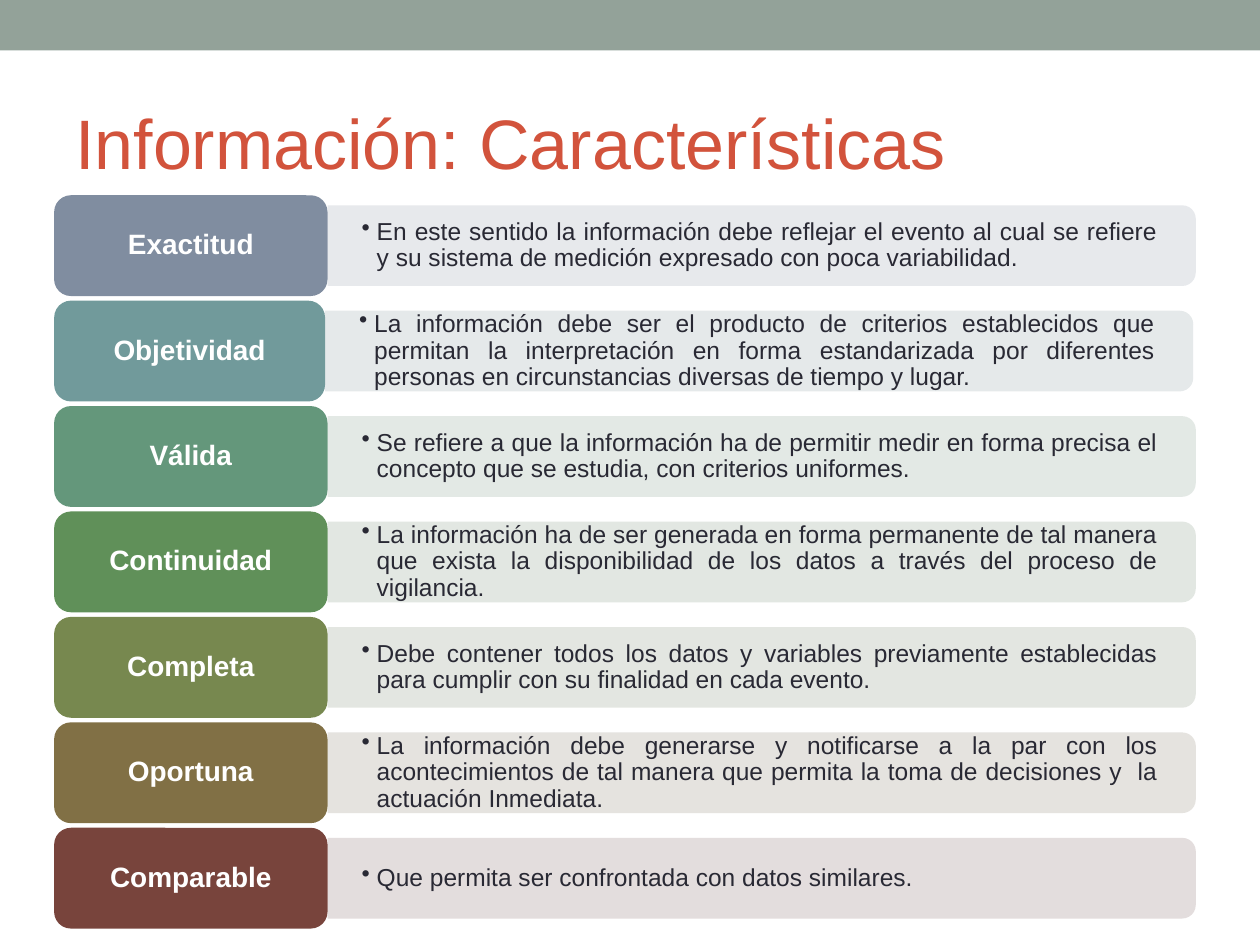
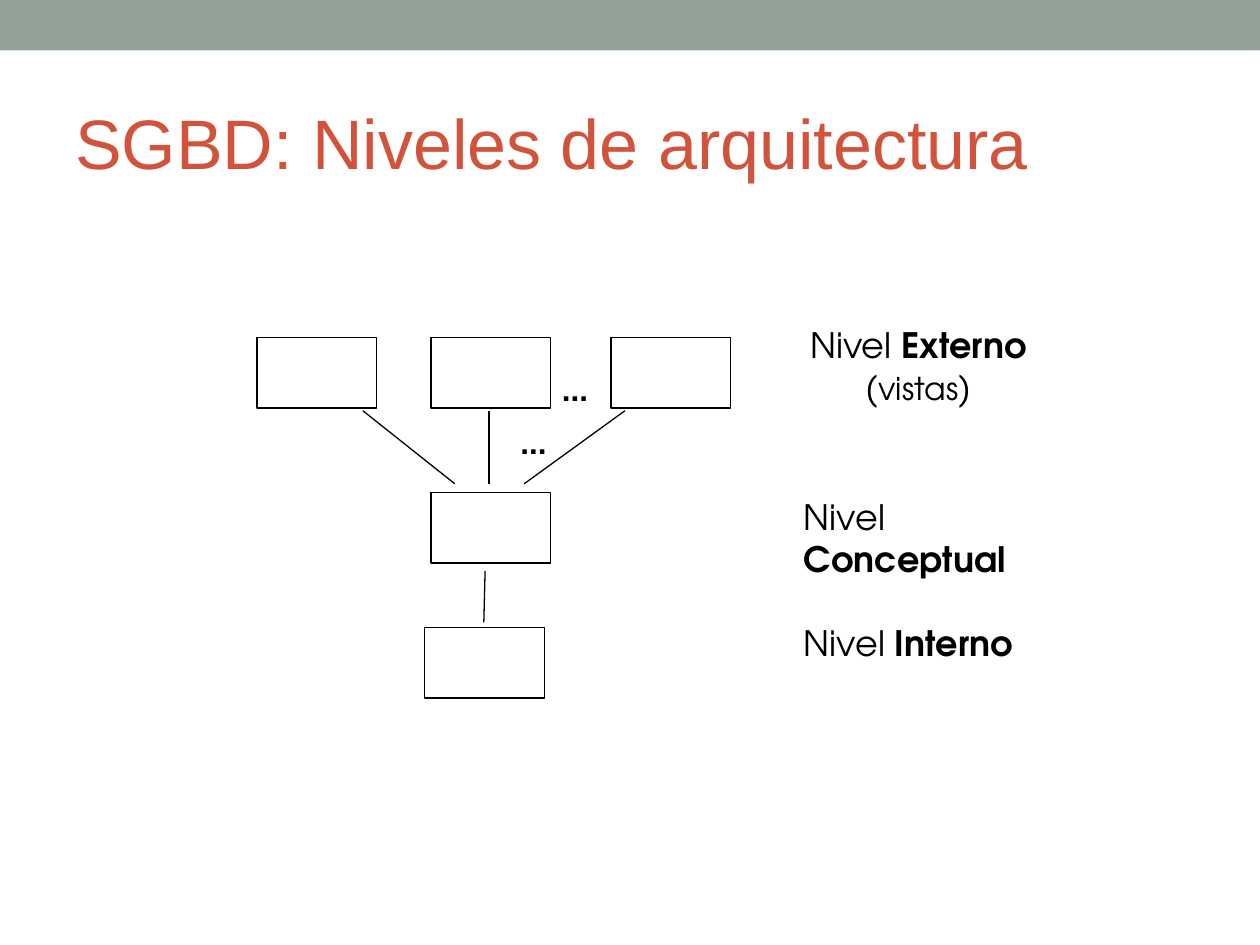
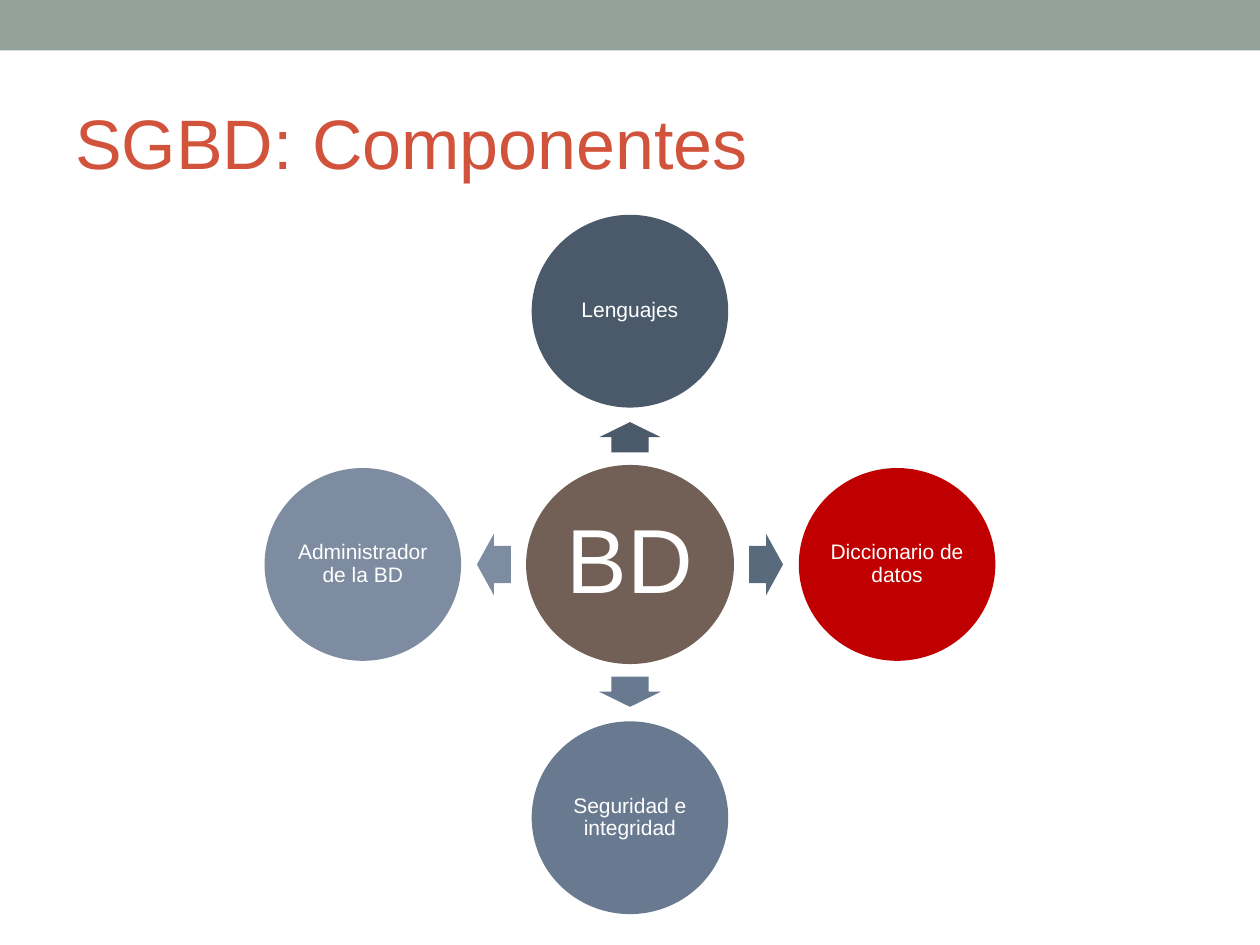
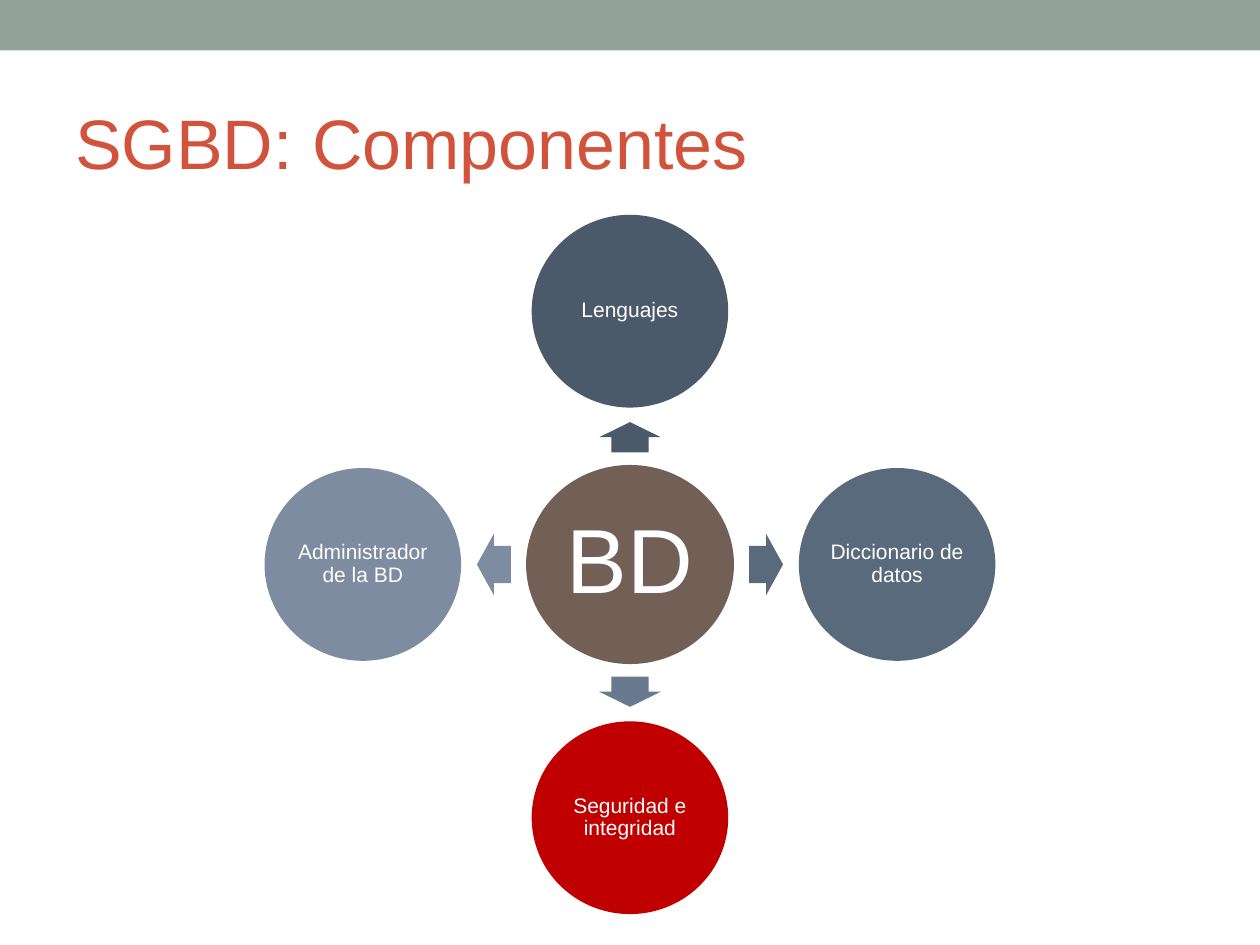
"""Four slides on information traits and database management systems."""
from lxml import etree
from pptx import Presentation
from pptx.dml.color import RGBColor
from pptx.enum import shapes, text as t
from pptx.oxml import ns
from pptx.util import Inches, Pt

BAND = RGBColor(0x93, 0xA2, 0x99)
TITLE = RGBColor(0xD2, 0x53, 0x3C)
INK = RGBColor(0x29, 0x29, 0x34)
WHITE = RGBColor(0xFF, 0xFF, 0xFF)
BLACK = RGBColor(0, 0, 0)
HUB = RGBColor(0x72, 0x60, 0x56)
RED = RGBColor(0xC0, 0, 0)
UP = RGBColor(0x4B, 0x5A, 0x6A)
RIGHT = RGBColor(0x59, 0x6A, 0x7D)
DOWN = RGBColor(0x69, 0x7A, 0x90)
LEFT = RGBColor(0x7D, 0x8C, 0xA0)
LABEL_FONT = "TeX Gyre Adventor"
SHAPE = shapes.MSO_SHAPE
ALIGN = t.PP_ALIGN
MIDDLE = t.MSO_ANCHOR.MIDDLE


def add(s, kind, x, y, w, h, fill=None, line=None):
    """Add a preset shape, or a text box when kind is None."""
    place = [Inches(v) for v in (x, y, w, h)]
    if kind is None:
        return s.shapes.add_textbox(*place)
    sp = s.shapes.add_shape(kind, *place)
    sp.shadow.inherit = False
    sp.fill.solid()
    sp.fill.fore_color.rgb = fill
    if line is None:
        sp.line.fill.background()
    else:
        sp.line.color.rgb = line
        sp.line.width = Pt(0.75)
    return sp


def write(sp, text, size=12, color=WHITE, bold=False, font="Arial", align=ALIGN.LEFT,
          anchor=MIDDLE, inset=(0, 0), spacing=None, after=0, bullet=False, wrap=True):
    """Fill a shape with a string, or with paragraphs of (text, size, bold) runs."""
    tf = sp.text_frame
    tf.word_wrap = wrap
    tf.vertical_anchor = anchor
    tf.margin_left = tf.margin_right = Inches(inset[0])
    tf.margin_top = tf.margin_bottom = Inches(inset[1])
    paragraphs = [[(text, size, bold)]] if isinstance(text, str) else text
    for i, runs in enumerate(paragraphs):
        p = tf.add_paragraph() if i else tf.paragraphs[0]
        p.alignment = align
        p.line_spacing = spacing
        p.space_after = Pt(after)
        if bullet:
            pPr = p._p.get_or_add_pPr()
            pPr.set("marL", str(Inches(0.12)))
            pPr.set("indent", str(-Inches(0.12)))
            etree.SubElement(pPr, ns.qn("a:buChar")).set("char", "•")
        for words, points, heavy in runs:
            r = p.add_run()
            r.text = words
            r.font.name = font
            r.font.size = Pt(points)
            r.font.bold = heavy
            r.font.color.rgb = color


prs = Presentation()
prs.slide_width, prs.slide_height = Inches(10), Inches(7.5)

for title in ("Información: Características", "SGBD: Niveles de arquitectura",
              "SGBD: Componentes", "SGBD: Componentes"):
    s = prs.slides.add_slide(prs.slide_layouts[6])
    add(s, SHAPE.RECTANGLE, 0, 0, 10, 0.4, BAND)
    write(add(s, None, 0.5, 0.58, 9, 1.08), title, size=40, color=TITLE, inset=(0.1, 0.05))
traits, levels, *components = prs.slides

rows = [
    ("Exactitud", "808DA0", "E5E7EB", 2.17,
     "En este sentido la información debe reflejar el evento al cual se refiere y su sistema "
     "de medición expresado con poca variabilidad."),
    ("Objetividad", "719A9B", "E3E7E8", 2.15,
     "La información debe ser el producto de criterios establecidos que permitan la "
     "interpretación en forma estandarizada por diferentes personas en circunstancias "
     "diversas de tiempo y lugar."),
    ("Válida", "64977B", "E1E7E3", 2.17,
     "Se refiere a que la información ha de permitir medir en forma precisa el concepto que "
     "se estudia, con criterios uniformes."),
    ("Continuidad", "609059", "DFE5DF", 2.17,
     "La información ha de ser generada en forma permanente de tal manera que exista la "
     "disponibilidad de los datos a través del proceso de vigilancia."),
    ("Completa", "77884F", "E1E4DE", 2.17,
     "Debe contener todos los datos y variables previamente establecidas para cumplir con "
     "su finalidad en cada evento."),
    ("Oportuna", "817045", "E3E0DC", 2.17,
     "La información debe generarse y notificarse a la par con los acontecimientos de tal "
     "manera que permita la toma de decisiones y  la actuación Inmediata."),
    ("Comparable", "78443C", "E1DADA", 2.17,
     "Que permita ser confrontada con datos similares."),
]
bar_w, bar_h, label_x, label_h = 6.89, 0.64, 0.43, 0.8
pitch = (6.57 - 1.55) / (len(rows) - 1)
for i, (name, dark, pale, label_w, meaning) in enumerate(rows):
    top = 1.55 + i * pitch
    mid = top + label_h / 2
    bar_x = label_x + label_w
    bar = add(traits, SHAPE.ROUND_2_SAME_RECTANGLE, bar_x + (bar_w - bar_h) / 2,
              mid - bar_w / 2, bar_h, bar_w, RGBColor.from_string(pale))
    bar.rotation = 90
    bar.adjustments[0] = 0.167
    tint = bar.fill._xPr.find(ns.qn("a:solidFill"))[0]
    etree.SubElement(tint, ns.qn("a:alpha")).set("val", "90000")
    write(add(traits, None, bar_x, mid - 0.29, 6.86, 0.58), meaning, size=14, color=INK,
          align=ALIGN.JUSTIFY, inset=(0.27, 0.14), spacing=0.9, after=2.1, bullet=True)
    label = add(traits, SHAPE.ROUNDED_RECTANGLE, label_x, top, label_w, label_h,
                RGBColor.from_string(dark))
    write(label, name, size=16, bold=True, align=ALIGN.CENTER, inset=(0.07, 0.03),
          spacing=0.9, after=5.6)

for x, y in ((2.04, 2.68), (3.42, 2.68), (4.85, 2.68), (3.42, 3.91), (3.37, 4.98)):
    add(levels, SHAPE.RECTANGLE, x, y, 0.95, 0.56, WHITE, BLACK)

for ends in ((3.61, 3.84, 2.88, 3.26), (3.88, 3.84, 3.88, 3.26),
             (4.16, 3.84, 4.96, 3.26), (3.84, 4.94, 3.85, 4.53)):
    link = levels.shapes.add_connector(shapes.MSO_CONNECTOR.STRAIGHT,
                                       *[Inches(v) for v in ends])
    link.line.color.rgb = BLACK
    link.line.width = Pt(0.75)
    etree.SubElement(link._element.spPr, ns.qn("a:effectLst"))

for x, y in ((4.46, 2.94), (4.13, 3.36)):
    write(add(levels, None, x, y, 0.21, 0.3), "...", size=18, color=BLACK, bold=True,
          anchor=t.MSO_ANCHOR.TOP, wrap=False)

for x, y, w, h, level, extra, align in (
        (6.34, 2.57, 1.9, 0.67, "Externo",
         [[("(", 20, False), ("vistas", 18, False), (")", 20, False)]], ALIGN.CENTER),
        (6.38, 3.93, 2.16, 0.33, "Conceptual", [], ALIGN.LEFT),
        (6.38, 4.93, 1.76, 0.33, "Interno", [], ALIGN.LEFT)):
    write(add(levels, None, x, y, w, h), [[("Nivel ", 20, False), (level, 20, True)]] + extra,
          color=BLACK, font=LABEL_FONT, align=align, anchor=t.MSO_ANCHOR.TOP)

cx, cy = 5, 4.48
parts = [("Lenguajes", UP, 0, -1, 270), ("Diccionario de datos", RIGHT, 1, 0, 0),
         ("Seguridad e integridad", DOWN, 0, 1, 90), ("Administrador de la BD", LEFT, -1, 0, 180)]
for s, current in zip(components, ("Diccionario de datos", "Seguridad e integridad")):
    hub = add(s, SHAPE.OVAL, cx - 0.825, cy - 0.79, 1.65, 1.58, HUB)
    write(hub, "BD", size=52, align=ALIGN.CENTER, inset=(0.07, 0.07), spacing=0.9, after=18.2)
    for name, color, dx, dy, angle in parts:
        length = 0.27 if dx else 0.24
        arrow = add(s, SHAPE.RIGHT_ARROW, cx + dx * 1.08 - length / 2,
                    cy + dy * 1.01 - 0.245, length, 0.49, color)
        arrow.rotation = angle
        arrow.adjustments[0], arrow.adjustments[1] = 0.6, 0.5
        circle = add(s, SHAPE.OVAL, cx + dx * 2.12 - 0.78, cy + dy * 2.01 - 0.765,
                     1.56, 1.53, RED if name == current else color)
        write(circle, name, align=ALIGN.CENTER, inset=(0.02, 0.02), spacing=0.9, after=4.2)

prs.save("out.pptx")
